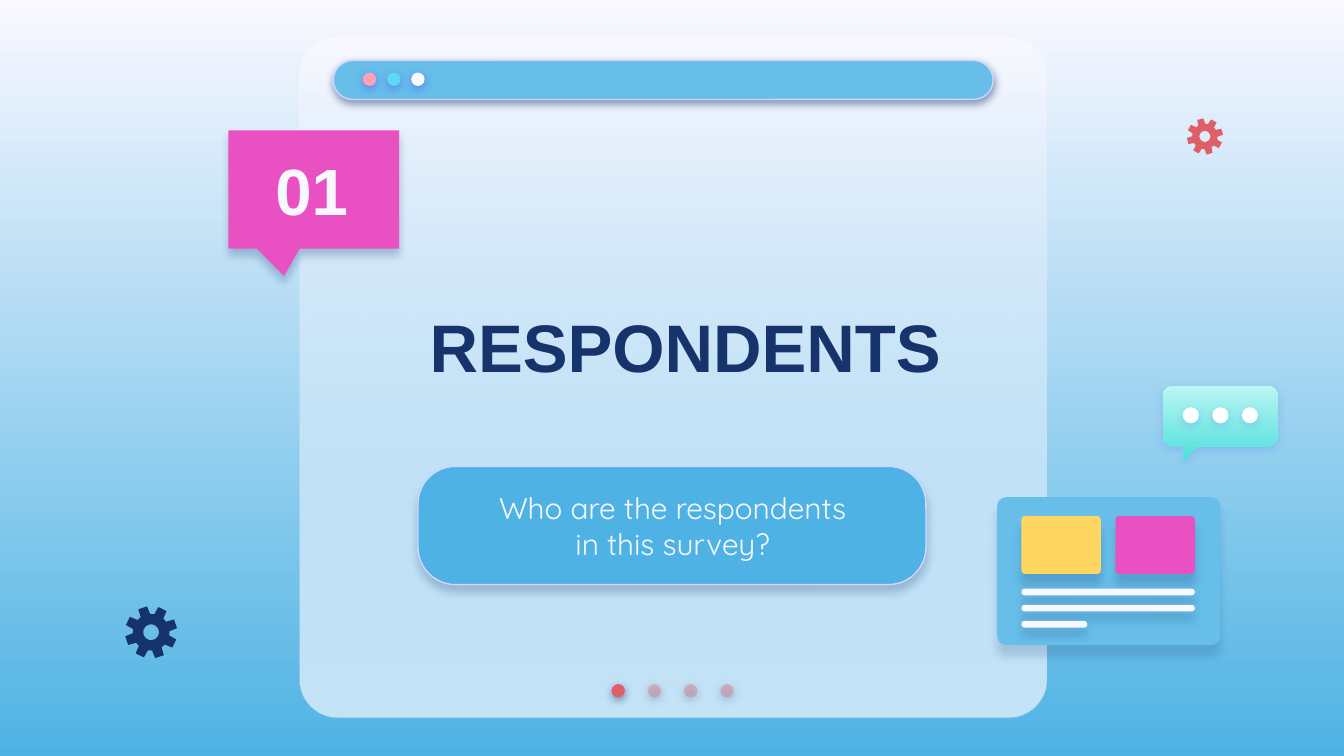
from dataclasses import dataclass
from math import cos, radians, sin

from lxml import etree
from pptx import Presentation
from pptx.dml.color import RGBColor
from pptx.enum.shapes import MSO_SHAPE
from pptx.enum.text import MSO_ANCHOR, PP_ALIGN
from pptx.oxml.ns import qn
from pptx.util import Inches, Pt


@dataclass(frozen=True)
class Theme:
    white: str = "F9F8FF"
    pure_white: str = "FFFFFF"
    blue: str = "4EB3E4"
    sky: str = "66BEE9"
    navy: str = "17336B"
    violet: str = "5352EE"
    outline: str = "D2D6FF"
    magenta: str = "E951C2"
    yellow: str = "FFD65F"
    red: str = "DF5F69"
    faded_red: str = "E27B83"
    pink: str = "FDA0B4"
    cyan: str = "60D8F4"
    mint: str = "BBF6F4"
    teal: str = "4EE0DB"
    heading_font: str = "Arial"
    body_font: str = "Quicksand"
    title_size: int = 36
    number_size: int = 35
    body_size: int = 16


THEME = Theme()


# Formatting helpers
def set_alpha(color_element, percent):
    etree.SubElement(color_element, qn("a:alpha"), val=str(percent * 1000))


def vertical_gradient(fill, top, bottom):
    fill.gradient()
    fill.gradient_angle = 270
    for stop, color, position in zip(fill.gradient_stops, (top, bottom), (0, 1)):
        stop.color.rgb = RGBColor.from_string(color)
        stop.position = position


def add_shadow(shape, color, alpha, distance):
    effects = shape._element.spPr.find(qn("a:effectLst"))
    outer = etree.SubElement(effects, qn("a:outerShdw"), blurRad=str(Pt(4.5)),
                             dist=str(Pt(distance)), dir="5400000",
                             algn="bl", rotWithShape="0")
    set_alpha(etree.SubElement(outer, qn("a:srgbClr"), val=color), alpha)


def style(shape, fill, alpha=None, line=None, shadow=None):
    """fill is one colour or a (top, bottom) pair; alpha applies to the last."""
    shape.shadow.inherit = False
    if isinstance(fill, tuple):
        vertical_gradient(shape.fill, *fill)
    else:
        shape.fill.solid()
        shape.fill.fore_color.rgb = RGBColor.from_string(fill)
    if alpha is not None:
        set_alpha(list(shape._element.spPr.iter(qn("a:srgbClr")))[-1], alpha)
    if line:
        shape.line.color.rgb = RGBColor.from_string(line)
        shape.line.width = Pt(0.75)
    else:
        shape.line.fill.background()
    if shadow:
        add_shadow(shape, *shadow)


def add_preset(slide, preset, box, fill, adjust=(), **look):
    shape = slide.shapes.add_shape(preset, *map(Inches, box))
    for index, value in enumerate(adjust):
        shape.adjustments[index] = value
    style(shape, fill, **look)


def add_rounded(slide, box, radius, fill, **look):
    add_preset(slide, MSO_SHAPE.ROUNDED_RECTANGLE, box, fill, (radius,), **look)


def add_dots(slide, x, y, size, pitch, colors, shadow, alphas=()):
    for i, color in enumerate(colors):
        add_preset(slide, MSO_SHAPE.OVAL, (x + i * pitch, y, size, size), color,
                   alpha=alphas[i] if alphas else None, shadow=shadow)


def add_outline(slide, contours, fill, **look):
    scaled = [[(Inches(x), Inches(y)) for x, y in contour] for contour in contours]
    builder = slide.shapes.build_freeform(*scaled[0][0])
    for i, points in enumerate(scaled):
        if i:
            builder.move_to(*points[0])
        builder.add_line_segments(points[1:], close=True)
    style(builder.convert_to_shape(), fill, **look)


def polar(cx, cy, radius, degrees):
    return cx + radius * cos(radians(degrees)), cy + radius * sin(radians(degrees))


def add_text(slide, box, text, *, font, size, color, bold=False,
             anchor=MSO_ANCHOR.MIDDLE, space_after=0):
    frame = slide.shapes.add_textbox(*map(Inches, box)).text_frame
    frame.word_wrap = True
    frame.vertical_anchor = anchor
    frame.margin_left = frame.margin_right = Inches(0.1)
    frame.margin_top = frame.margin_bottom = Inches(0.1)
    paragraph = frame.paragraphs[0]
    paragraph.alignment = PP_ALIGN.CENTER
    paragraph.space_after = Pt(space_after)
    run = paragraph.add_run()
    run.text = text
    run.font.name = font
    run.font.size = Pt(size)
    run.font.bold = bold
    run.font.color.rgb = RGBColor.from_string(color)


# Slide regions
def draw_window(slide, x, y, w, h):
    add_rounded(slide, (x, y, w, h), 0.056, THEME.white)
    add_rounded(slide, (x, y, w, h), 0.056, (THEME.white, THEME.sky), alpha=35)
    # Page dots
    navy_shadow = (THEME.navy, 50, 1.5)
    add_dots(slide, x + 2.32, y + 4.81, 0.1, 0.27,
             [THEME.red] + [THEME.faded_red] * 3, navy_shadow, (None, 44, 44, 44))
    # Title bar and its buttons
    add_rounded(slide, (x + 0.25, y + 0.17, 4.91, 0.29), 0.5, THEME.sky,
                line=THEME.outline, shadow=navy_shadow)
    add_dots(slide, x + 0.47, y + 0.26, 0.1, 0.18,
             (THEME.pink, THEME.cyan, THEME.white), (THEME.violet, 50, 1.5))
    # Heading
    add_text(slide, (x + 0.37, y + 1.37, 5, 1.85), "RESPONDENTS",
             font=THEME.heading_font, size=THEME.title_size, color=THEME.navy, bold=True)


def draw_question(slide, x, y, w, h):
    add_rounded(slide, (x, y, w, h), 0.317, THEME.blue,
                line=THEME.outline, shadow=(THEME.navy, 24, 3.8))
    add_text(slide, (x + 0.39, y + 0.05, w - 0.77, h - 0.1),
             "Who are the respondents in this survey?", font=THEME.body_font,
             size=THEME.body_size, color=THEME.white, space_after=12)


def draw_section_number(slide, x, y, w, h):
    add_preset(slide, MSO_SHAPE.ROUNDED_RECTANGULAR_CALLOUT, (x, y, w, h),
               THEME.magenta, (-0.174, 0.731, 0), shadow=(THEME.navy, 25, 3.8))
    add_text(slide, (x + 0.09, y + 0.05, w - 0.21, h - 0.1), "01",
             font=THEME.heading_font, size=THEME.number_size, color=THEME.white,
             bold=True, anchor=MSO_ANCHOR.BOTTOM)


def draw_web_card(slide, x, y, w, h):
    add_rounded(slide, (x, y, w, h), 0.06, THEME.sky, shadow=(THEME.navy, 17, 6))
    for i, color in enumerate((THEME.yellow, THEME.magenta)):
        add_rounded(slide, (x + 0.18 + i * 0.7, y + 0.14, 0.59, 0.43), 0.06, color,
                    shadow=(THEME.navy, 20, 6))
    for i, length in enumerate((1.29, 1.29, 0.49)):
        add_rounded(slide, (x + 0.18, y + 0.68 + i * 0.12, length, 0.05), 0.5,
                    THEME.white, shadow=(THEME.navy, 21, 4.5))


def draw_chat_bubble(slide, x, y, w, h):
    radius, tail = 0.08, 0.11
    right, bottom = x + w, y + h - tail
    corners = [(right - radius, y + radius, -90), (right - radius, bottom - radius, 0),
               (x + radius, bottom - radius, 90), (x + radius, y + radius, 180)]
    arcs = [[polar(cx, cy, radius, start + step) for step in range(0, 91, 10)]
            for cx, cy, start in corners]
    pointer = [(x + 0.26, bottom), (x + 0.16, y + h), (x + 0.16, bottom)]
    shadow = (THEME.violet, 18, 1.5)
    add_outline(slide, [arcs[0] + arcs[1] + pointer + arcs[2] + arcs[3]],
                (THEME.mint, THEME.teal), shadow=shadow)
    add_dots(slide, x + 0.15, y + 0.16, 0.12, 0.22, [THEME.pure_white] * 3, shadow)


def draw_gear(slide, x, y, size, turn, color):
    outer = size / 2
    cx, cy = x + outer, y + outer
    tooth = ((0.7, -16), (1, -10), (1, 10), (0.7, 16))
    rim = [polar(cx, cy, outer * reach, turn + 45 * i + offset)
           for i in range(8) for reach, offset in tooth]
    hole = [polar(cx, cy, outer * 0.3, -angle) for angle in range(0, 360, 10)]
    add_outline(slide, [rim, hole], color)


def main():
    prs = Presentation()
    prs.slide_width = Inches(10)
    prs.slide_height = prs.slide_width * 9 // 16
    slide = prs.slides.add_slide(prs.slide_layouts[6])
    vertical_gradient(slide.background.fill, THEME.white, THEME.blue)

    draw_window(slide, 2.23, 0.28, 5.56, 5.06)
    draw_section_number(slide, 1.7, 0.97, 1.27, 0.88)
    draw_question(slide, 3.11, 3.47, 3.78, 0.88)
    draw_web_card(slide, 7.42, 3.7, 1.66, 1.1)
    draw_chat_bubble(slide, 8.65, 2.87, 0.86, 0.56)
    draw_gear(slide, 0.93, 4.51, 0.39, 26, THEME.navy)
    draw_gear(slide, 8.83, 0.88, 0.27, 30, THEME.red)
    prs.save("out.pptx")


if __name__ == "__main__":
    main()
